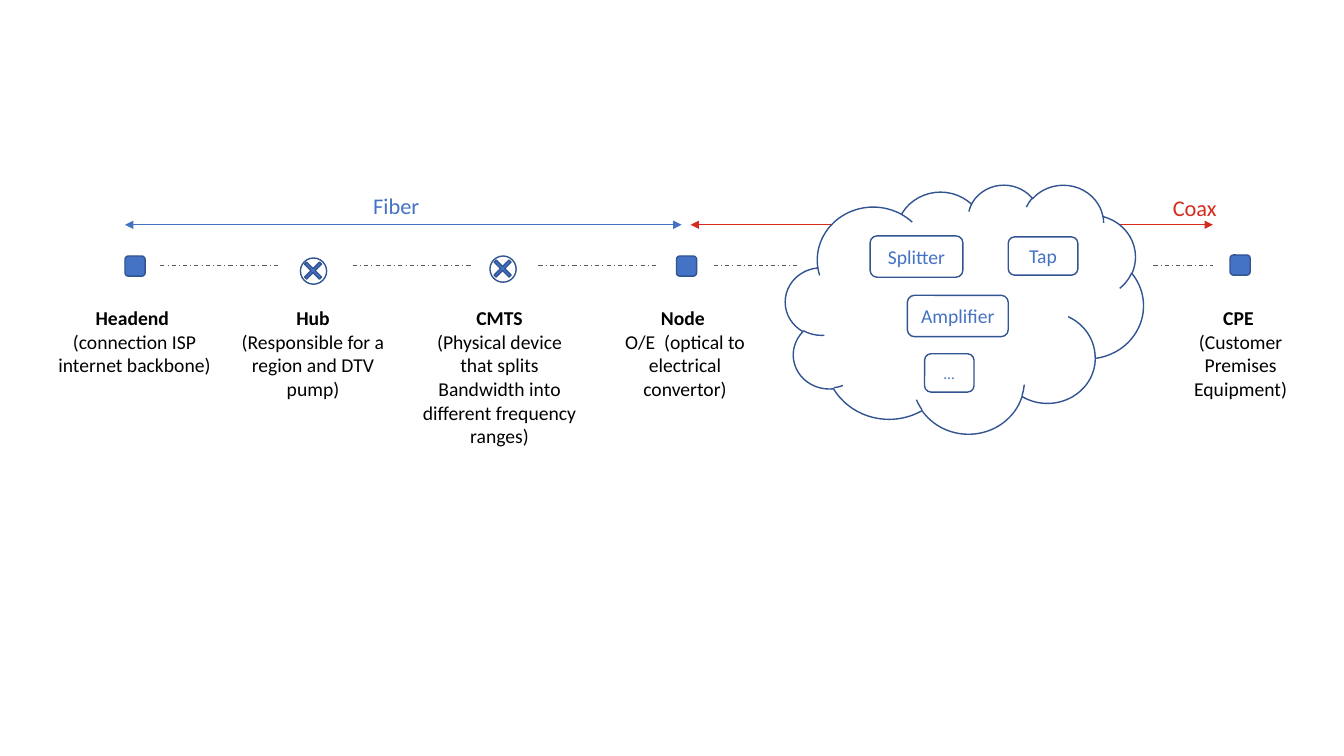
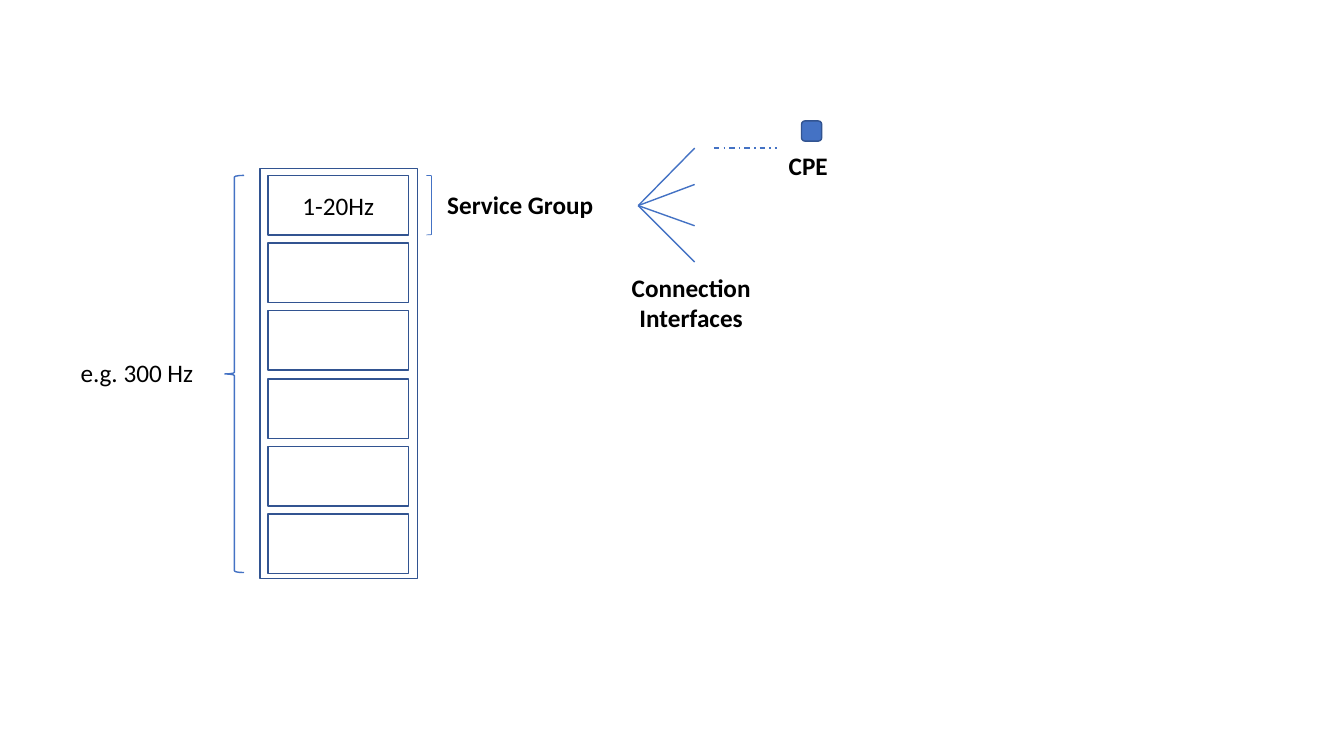
import pptx
import pptx.util
import pptx.dml.color
import pptx.enum.dml
import pptx.enum.shapes
import pptx.enum.text
import pptx.oxml.ns
import lxml.etree

SHAPE = pptx.enum.shapes.MSO_SHAPE
ALIGN = pptx.enum.text.PP_ALIGN
FONT = "Calibri"
BLUE, OUTLINE, RED = "4472C4", "325491", "D52B1E"
GREY, BLACK, WHITE = "595959", "000000", "FFFFFF"
BLANK_LAYOUT = 6


def px(n):
    return pptx.util.Emu(n * 9144)


def rgb(color):
    return pptx.dml.color.RGBColor.from_string(color)


def add_child(parent, tag, **attributes):
    lxml.etree.SubElement(parent, pptx.oxml.ns.qn(tag), **attributes)


def add_paragraphs(tf, texts, size, color=BLACK, bold_first=False, align=ALIGN.CENTER):
    tf.word_wrap = True
    for i, text in enumerate(texts):
        p = tf.add_paragraph() if i else tf.paragraphs[0]
        p.text = text
        p.alignment = align
        p.font.name = FONT
        p.font.size = pptx.util.Pt(size)
        p.font.bold = bold_first and i == 0
        p.font.color.rgb = rgb(color)


def add_label(s, x, y, w, h, texts, size, **style):
    sp = s.shapes.add_textbox(px(x), px(y), px(w), px(h))
    add_paragraphs(sp.text_frame, texts, size, **style)


def add_outline(s, kind, x, y, w, h, fill=None, line=OUTLINE, width=1):
    sp = s.shapes.add_shape(kind, px(x), px(y), px(w), px(h))
    sp.shadow.inherit = False
    if fill:
        sp.fill.solid()
        sp.fill.fore_color.rgb = rgb(fill)
    else:
        sp.fill.background()
    sp.line.color.rgb = rgb(line)
    sp.line.width = pptx.util.Pt(width)
    return sp


def add_box(s, kind, x, y, w, h, text, size, color, fill=None):
    sp = add_outline(s, kind, x, y, w, h, fill)
    sp.text_frame.vertical_anchor = pptx.enum.text.MSO_ANCHOR.MIDDLE
    add_paragraphs(sp.text_frame, [text], size, color)


def add_line(s, x1, y1, x2, y2, color=BLUE, width=1, dashed=False, arrows=False):
    c = s.shapes.add_connector(
        pptx.enum.shapes.MSO_CONNECTOR.STRAIGHT, px(x1), px(y1), px(x2), px(y2))
    c.line.color.rgb = rgb(color)
    c.line.width = pptx.util.Pt(width)
    if dashed:
        c.line.dash_style = pptx.enum.dml.MSO_LINE.DASH_DOT
    if arrows:
        ln = c.line._get_or_add_ln()
        add_child(ln, "a:headEnd", type="triangle")
        add_child(ln, "a:tailEnd", type="triangle")
    add_child(c._element.spPr, "a:effectLst")


def add_device(s, x, y):
    add_outline(s, SHAPE.ROUNDED_RECTANGLE, x, y, 20, 20, BLUE)


def add_crossed_circle(s, x, y):
    add_outline(s, SHAPE.OVAL, x, y, 26, 26)
    cross = add_outline(s, SHAPE.CROSS, x + 2, y + 2, 21, 21, BLUE)
    cross.adjustments[0] = 0.433
    cross.rotation = 45


def build_network(s):
    add_line(s, 124, 223, 676, 223, arrows=True)
    add_line(s, 685, 223, 1203, 223, RED, arrows=True)
    add_label(s, 276, 186, 234, 37, ["Fiber"], 16, color=BLUE)
    add_label(s, 1068, 188, 234, 37, ["Coax"], 16, color=RED)

    stations = [
        (add_device, 124, 254, 47, "Headend ", "(connection ISP internet backbone)"),
        (add_crossed_circle, 298, 256, 224, "Hub",
         "(Responsible for a region and DTV pump)"),
        (add_crossed_circle, 486, 254, 409, "CMTS",
         "(Physical device that splits Bandwidth into different frequency ranges)"),
        (add_device, 671, 254, 593, "Node ", "O/E  (optical to electrical convertor)"),
        (add_device, 1220, 253, 1144, "CPE ", "(Customer Premises Equipment)"),
    ]
    for add_icon, x, y, label_x, name, role in stations:
        add_icon(s, x, y)
        add_label(s, label_x, 299, 173, 104, [name, role], 14, bold_first=True)

    add_outline(s, SHAPE.CLOUD, 779, 183, 355, 247, WHITE)
    for x, y, w, h, text, size in [
        (863, 234, 92, 41, "Splitter", 14),
        (900, 293, 100, 41, "Amplifier", 14),
        (1000, 235, 69, 38, "Tap", 14),
        (917, 351, 49, 38, "…", 11),
    ]:
        add_box(s, SHAPE.ROUNDED_RECTANGLE, x, y, w, h, text, size, BLUE)

    for x1, x2 in [(159, 276), (350, 467), (534, 652), (708, 792), (1144, 1203)]:
        add_line(s, x1, 263, x2, 263, GREY, 0.75, dashed=True)


def build_service_group(s):
    add_outline(s, SHAPE.RECTANGLE, 258, 167, 156, 407, WHITE)
    add_box(s, SHAPE.RECTANGLE, 266, 174, 139, 59, "1-20Hz", 18, BLACK, WHITE)
    for i in range(1, 6):
        add_outline(s, SHAPE.RECTANGLE, 266, round(174 + 67.2 * i), 139, 59, WHITE)

    add_outline(s, SHAPE.LEFT_BRACE, 223, 174, 19, 394, line=BLUE)
    add_label(s, 70, 350, 145, 40, ["e.g. 300 Hz"], 18, align=ALIGN.LEFT)
    add_outline(s, SHAPE.RIGHT_BRACKET, 423, 174, 5, 59, line=BLUE, width=0.5)

    for end_y in (147, 183, 224, 260):
        add_line(s, 633, 204, 689, end_y)
    add_line(s, 708, 147, 771, 147, dashed=True)
    add_device(s, 795, 120)

    for x, y, w, h, text in [
        (432, 183, 168, 40, "Service Group"),
        (600, 265, 171, 71, "Connection Interfaces"),
        (718, 144, 173, 40, "CPE "),
    ]:
        add_label(s, x, y, w, h, [text], 18, bold_first=True)


def main():
    prs = pptx.Presentation()
    prs.slide_width = px(1333)
    prs.slide_height = px(750)
    for build in (build_network, build_service_group):
        build(prs.slides.add_slide(prs.slide_layouts[BLANK_LAYOUT]))
    prs.save("out.pptx")


if __name__ == "__main__":
    main()
